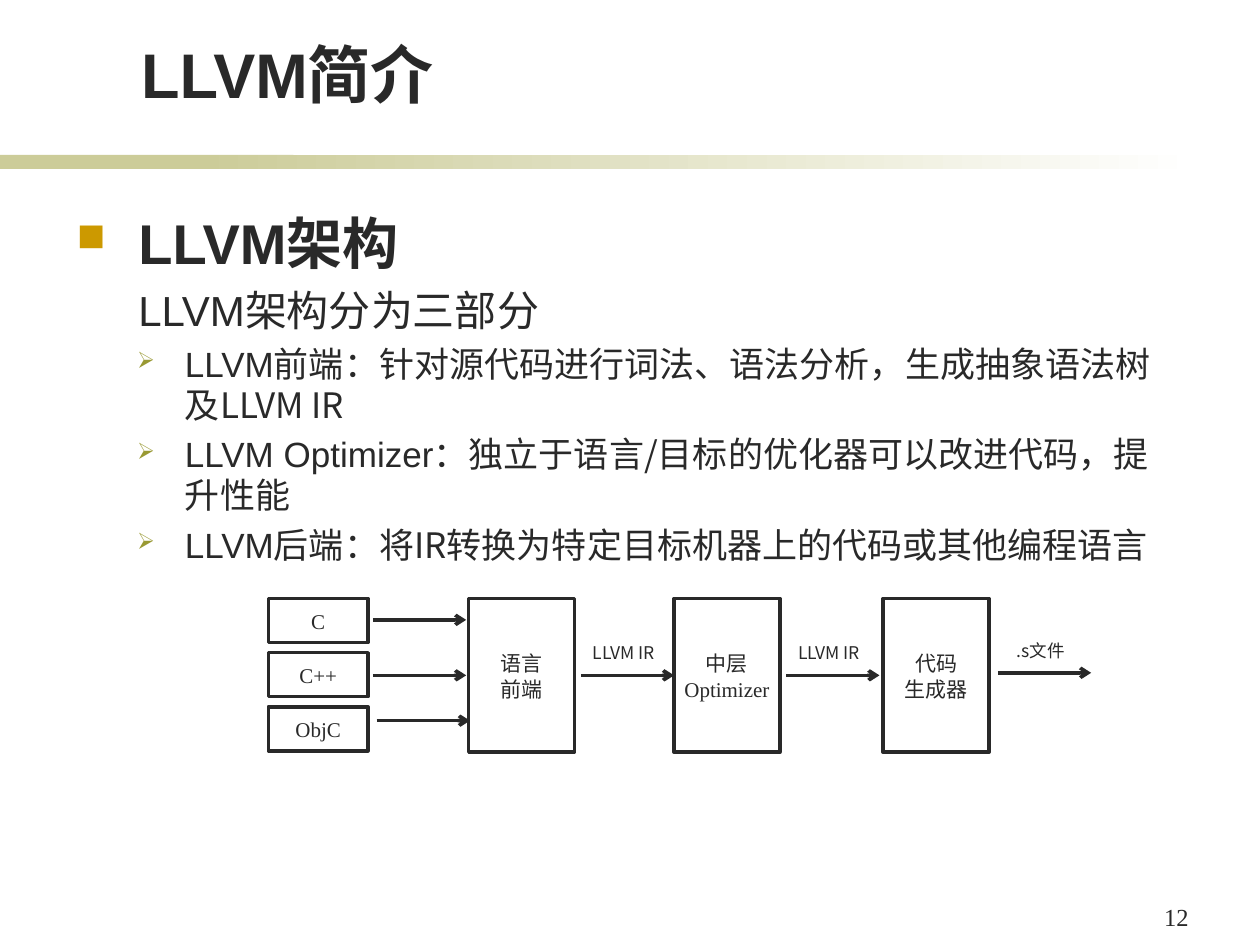
from typing import NamedTuple, Optional

from lxml import etree
from pptx import Presentation
from pptx import util as u
from pptx.dml.color import RGBColor
from pptx.enum import shapes, text
from pptx.oxml import ns

INK = RGBColor(0x29, 0x29, 0x29)
WHITE = RGBColor(0xFF, 0xFF, 0xFF)
SAGE = RGBColor(0xCC, 0xCC, 0x99)
GOLD = RGBColor(0xCC, 0x99, 0x00)
OLIVE = RGBColor(0x99, 0x99, 0x33)
SANS, CJK, SERIF = "Arial", "Noto Sans CJK SC", "Times New Roman"
LEADING = 1.17


class Bullet(NamedTuple):
    char: str
    color: RGBColor
    percent: int


class Item(NamedTuple):
    runs: tuple[tuple[str, str], ...]
    size: int
    margin: float
    hanging: float = 0
    bullet: Optional[Bullet] = None
    bold: bool = False


class Box(NamedTuple):
    lines: tuple[str, ...]
    left: float
    top: float
    width: float
    height: float


class Arrow(NamedTuple):
    left: float
    y: float
    label: str = ""


SQUARE = Bullet("■", GOLD, 70)
POINTER = Bullet("➢", OLIVE, 65)

ITEMS = [
    Item((("LLVM架构", SANS),), 32, 0.49, 0.49, SQUARE, True),
    Item((("LLVM架构分为三部分", SANS),), 24, 0.49),
] + [
    Item(((head, SANS), (detail, CJK)), 20, 0.86, 0.38, POINTER)
    for head, detail in [
        ("LLVM前端：", "针对源代码进行词法、语法分析，生成抽象语法树及LLVM IR"),
        ("LLVM Optimizer：", "独立于语言/目标的优化器可以改进代码，提升性能"),
        ("LLVM后端：", "将IR转换为特定目标机器上的代码或其他编程语言"),
    ]
]

BOXES = [
    Box((name,), 2.13, 4.75 + 0.43 * i, 0.79, 0.35)
    for i, name in enumerate(("C", "C++", "ObjC"))
] + [
    Box(lines, left, 4.75, 0.84, 1.22)
    for lines, left in [
        (("语言", "前端"), 3.72),
        (("中层", "Optimizer"), 5.35),
        (("代码", "生成器"), 7.01),
    ]
]

ARROWS = [
    Arrow(2.96, 4.92),
    Arrow(2.96, 5.36),
    Arrow(2.99, 5.72),
    Arrow(4.61, 5.36, "LLVM IR"),
    Arrow(6.24, 5.36, "LLVM IR"),
    Arrow(7.92, 5.34, ".s文件"),
]


def add_run(p, content: str, size: float, font: str, bold: bool = False) -> None:
    r = p.add_run()
    r.text = content
    r.font.size = u.Pt(size)
    r.font.bold = bold
    r.font.color.rgb = INK
    r.font.name = font
    etree.SubElement(r.font._element, ns.qn("a:ea"), typeface=CJK)


def add_text(s, left: float, top: float, width: float, height: float):
    sp = s.shapes.add_textbox(*map(u.Inches, (left, top, width, height)))
    sp.text_frame.word_wrap = True
    return sp.text_frame


def add_rect(s, left: float, top: float, width: float, height: float):
    sp = s.shapes.add_shape(
        shapes.MSO_SHAPE.RECTANGLE, *map(u.Inches, (left, top, width, height))
    )
    sp.shadow.inherit = False
    return sp


def draw_header(s) -> None:
    solid = add_rect(s, 0, 1.23, 2.33, 0.11)
    solid.fill.solid()
    solid.fill.fore_color.rgb = SAGE
    fade = add_rect(s, 1.58, 1.23, 7.92, 0.11)
    fade.fill.gradient()
    fade.fill.gradient_angle = 0
    for stop, color in zip(fade.fill.gradient_stops, (SAGE, WHITE)):
        stop.color.rgb = color
    for sp in (solid, fade):
        sp.line.fill.background()


def draw_title(s, content: str) -> None:
    sp = s.shapes.title
    sp.left, sp.top, sp.width, sp.height = map(u.Inches, (1.02, 0.23, 7.34, 0.7))
    tf = sp.text_frame
    tf.auto_size = text.MSO_AUTO_SIZE.NONE
    tf.vertical_anchor = text.MSO_ANCHOR.BOTTOM
    p = tf.paragraphs[0]
    p.alignment = text.PP_ALIGN.LEFT
    p.line_spacing = u.Pt(36 * LEADING)
    add_run(p, content, 36, SANS, True)


def draw_item(p, item: Item) -> None:
    p.line_spacing = u.Pt(item.size * LEADING)
    p.space_before = u.Pt(item.size * 0.24)
    pPr = p._p.get_or_add_pPr()
    pPr.set("marL", str(u.Inches(item.margin)))
    pPr.set("indent", str(-u.Inches(item.hanging)))
    if item.bullet:
        color = etree.SubElement(pPr, ns.qn("a:buClr"))
        etree.SubElement(color, ns.qn("a:srgbClr"), val=str(item.bullet.color))
        etree.SubElement(pPr, ns.qn("a:buSzPct"), val=str(item.bullet.percent * 1000))
        etree.SubElement(pPr, ns.qn("a:buChar"), char=item.bullet.char)
    for content, font in item.runs:
        add_run(p, content, item.size, font, item.bold)


def draw_box(s, box: Box) -> None:
    sp = add_rect(s, box.left, box.top, box.width, box.height)
    sp.fill.solid()
    sp.fill.fore_color.rgb = WHITE
    sp.line.color.rgb = INK
    sp.line.width = u.Pt(2)
    tf = sp.text_frame
    tf.word_wrap = False
    tf.vertical_anchor = text.MSO_ANCHOR.MIDDLE
    p = tf.paragraphs[0]
    p.alignment = text.PP_ALIGN.CENTER
    p.line_spacing = u.Pt(15)
    for i, line in enumerate(box.lines):
        if i:
            p.add_line_break()
        add_run(p, line, 12, SERIF)


def draw_arrow(s, arrow: Arrow) -> None:
    y = u.Inches(arrow.y)
    sp = s.shapes.add_connector(
        shapes.MSO_CONNECTOR.STRAIGHT,
        u.Inches(arrow.left), y, u.Inches(arrow.left + 0.74), y,
    )
    sp.line.color.rgb = INK
    sp.line.width = u.Pt(2)
    etree.SubElement(sp.line._get_or_add_ln(), ns.qn("a:tailEnd"), type="arrow")
    etree.SubElement(sp._element.spPr, ns.qn("a:effectLst"))
    if arrow.label:
        p = add_text(s, arrow.left - 0.09, arrow.y - 0.31, 0.86, 0.27).paragraphs[0]
        p.alignment = text.PP_ALIGN.CENTER
        add_run(p, arrow.label, 10, CJK)


def main() -> None:
    prs = Presentation()
    prs.slide_width, prs.slide_height = u.Inches(10), u.Inches(7.5)
    s = prs.slides.add_slide(prs.slide_layouts[5])
    draw_header(s)
    draw_title(s, "LLVM简介")
    tf = add_text(s, 0.51, 1.62, 8.91, 4.8)
    for i, item in enumerate(ITEMS):
        draw_item(tf.add_paragraph() if i else tf.paragraphs[0], item)
    for box in BOXES:
        draw_box(s, box)
    for arrow in ARROWS:
        draw_arrow(s, arrow)
    number = add_text(s, 9.14, 7.11, 0.47, 0.34)
    add_run(number.paragraphs[0], "12", 14, SERIF)
    prs.save("out.pptx")


if __name__ == "__main__":
    main()
